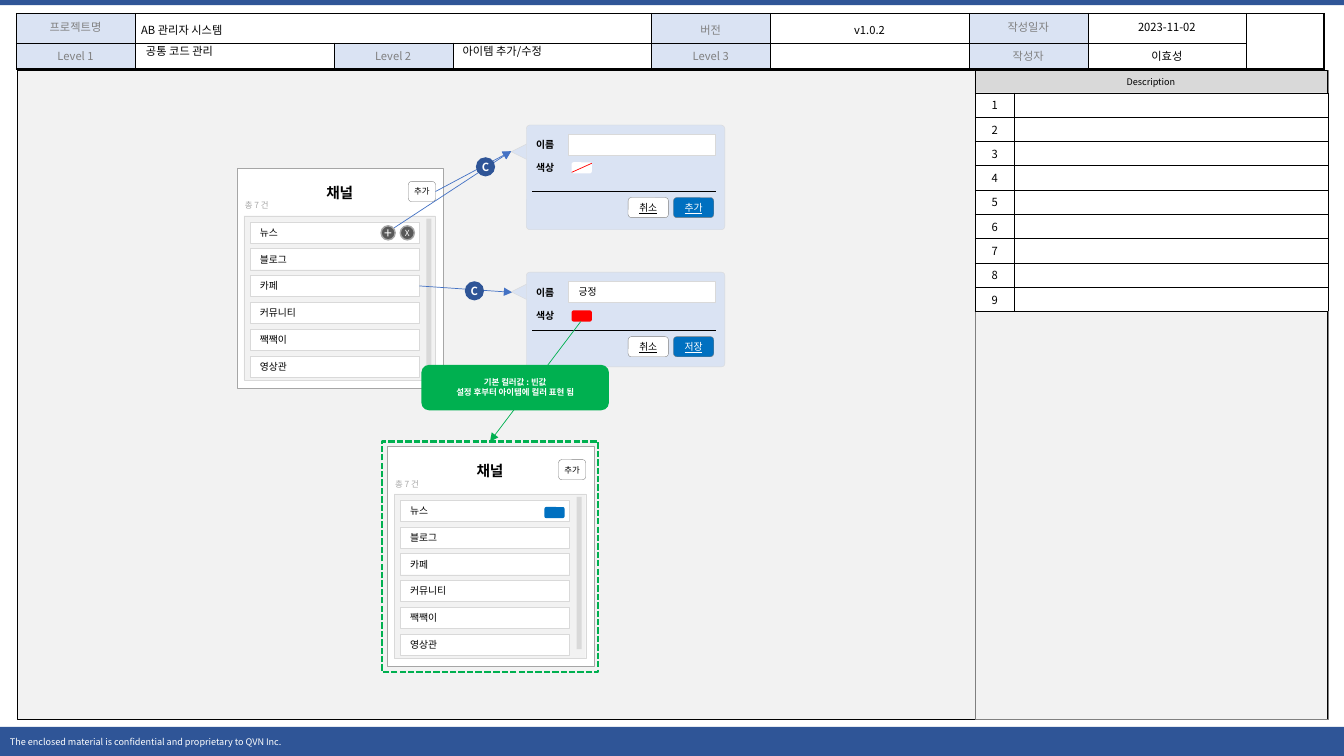
from lxml import etree
from pptx import Presentation
from pptx.dml.color import RGBColor
from pptx.enum.dml import MSO_LINE
from pptx.enum.shapes import MSO_CONNECTOR, MSO_SHAPE
from pptx.enum.text import MSO_ANCHOR, PP_ALIGN
from pptx.oxml.ns import qn
from pptx.util import Inches, Pt

RECT, ROUND = MSO_SHAPE.RECTANGLE, MSO_SHAPE.ROUNDED_RECTANGLE
OVAL, TRIANGLE = MSO_SHAPE.OVAL, MSO_SHAPE.ISOSCELES_TRIANGLE
LEFT, CENTER = PP_ALIGN.LEFT, PP_ALIGN.CENTER
TOP, MIDDLE = MSO_ANCHOR.TOP, MSO_ANCHOR.MIDDLE
FONT = "Noto Sans CJK KR"
C = dict(navy="2F5597", pale="DAE3F3", arrow="4472C4", blue="0070C0", green="00B050",
         red="FF0000", black="000000", white="FFFFFF", canvas="F2F2F2", light="D9D9D9",
         mid="A6A6A6", gray="808080", dark="595959")
ITEMS = ["뉴스", "블로그", "카페", "커뮤니티", "짹짹이", "영상관"]


def rgb(name):
    return RGBColor.from_string(C[name])


def write(tf, text, size=7, color="black", bold=False, underline=False, align=LEFT, spacing=None):
    for i, line in enumerate(text.split("\n")):
        p = tf.add_paragraph() if i else tf.paragraphs[0]
        p.alignment = align
        if spacing:
            p.line_spacing = spacing
        if not line:
            p._p.get_or_add_endParaRPr().set("sz", str(size * 100))
            continue
        r = p.add_run()
        r.text = line
        f = r.font
        f.name, f.size, f.bold, f.color.rgb = FONT, Pt(size), bold, rgb(color)
        if underline:
            f.underline = True
        etree.SubElement(r._r.get_or_add_rPr(), qn("a:ea"), typeface=FONT)


def set_frame(tf, inset, anchor, wrap=True):
    tf.word_wrap, tf.vertical_anchor = wrap, anchor
    tf.margin_left = tf.margin_right = Inches(inset[0])
    tf.margin_top = tf.margin_bottom = Inches(inset[1])


def shape(shapes, kind, x, y, w, h, fill=None, line=None, width=0.25, text="",
          inset=(0.1, 0.05), wrap=True, **fmt):
    sp = shapes.add_shape(kind, Inches(x), Inches(y), Inches(w), Inches(h))
    sp.shadow.inherit = False
    if fill:
        sp.fill.solid()
        sp.fill.fore_color.rgb = rgb(fill)
    else:
        sp.fill.background()
    if line:
        sp.line.color.rgb, sp.line.width = rgb(line), Pt(width)
    else:
        sp.line.fill.background()
    if text:
        set_frame(sp.text_frame, inset, MIDDLE, wrap)
        write(sp.text_frame, text, **fmt)
    return sp


def label(shapes, text, x, y, w, h, anchor=TOP, wrap=True, **fmt):
    tb = shapes.add_textbox(Inches(x), Inches(y), Inches(w), Inches(h))
    set_frame(tb.text_frame, (0.1, 0.05), anchor, wrap)
    write(tb.text_frame, text, **fmt)


def connect(shapes, x1, y1, x2, y2, color, arrow=False):
    cx = shapes.add_connector(MSO_CONNECTOR.STRAIGHT, *map(Inches, (x1, y1, x2, y2)))
    cx.line.color.rgb, cx.line.width = rgb(color), Pt(0.5)
    if arrow:
        etree.SubElement(cx.line._get_or_add_ln(), qn("a:tailEnd"), type="triangle")
    etree.SubElement(cx._element.spPr, qn("a:effectLst"))
    return cx


def button(shapes, text, x, y, w, fill="white", **fmt):
    return shape(shapes, ROUND, x, y, w, 0.2, fill, "gray", text=text,
                 inset=(0.04, 0.04), align=CENTER, **fmt)


def swatch(shapes, x, y, color):
    shape(shapes, ROUND, x, y, 0.2, 0.11, color)


def add_grid(s, x, y, widths, heights):
    tbl = s.shapes.add_table(len(heights), len(widths), Inches(x), Inches(y),
                             Inches(sum(widths)), Inches(sum(heights))).table
    tbl.first_row = tbl.horz_banding = False
    for col, w in zip(tbl.columns, widths):
        col.width = Inches(w)
    for row, h in zip(tbl.rows, heights):
        row.height = Inches(h)
    return tbl


def fill_cell(cell, text, fill, inset, thick="", anchor=TOP, **fmt):
    cell.margin_left = cell.margin_right = Inches(inset[0])
    cell.margin_top = cell.margin_bottom = Inches(inset[1])
    cell.vertical_anchor = anchor
    tc_pr = cell._tc.get_or_add_tcPr()
    for side in "LRTB":
        width = Pt(1.5 if side in thick else 0.25)
        ln = etree.SubElement(tc_pr, qn(f"a:ln{side}"), w=str(width))
        solid = etree.SubElement(ln, qn("a:solidFill"))
        etree.SubElement(solid, qn("a:srgbClr"), val=C["black"])
    cell.fill.solid()
    cell.fill.fore_color.rgb = rgb(fill)
    write(cell.text_frame, text, size=8, **fmt)


def header(s, x, y):
    rows = [["프로젝트명", "AB 관리자 시스템", "", "", "버전", "v1.0.2", "작성일자", "2023-11-02", ""],
            ["Level 1", "", "Level 2", "", "Level 3", "", "작성자", "이효성", ""]]
    tbl = add_grid(s, x, y, [1.18, 1.97] * 3 + [1.18, 1.57, 0.77], [0.26, 0.23])
    tbl.cell(0, 1).merge(tbl.cell(0, 3))
    tbl.cell(0, 8).merge(tbl.cell(1, 8))
    for i, texts in enumerate(rows):
        for j, text in enumerate(texts):
            is_label = j in (0, 2, 4, 6) and text != ""
            fill_cell(tbl.cell(i, j), text, "pale" if is_label else "white", (0.06, 0.05),
                      thick=("B" if i or j == 8 else "") + ("R" if j == 8 else ""),
                      color="gray" if is_label else "black",
                      align=LEFT if (i, j) == (0, 1) else CENTER,
                      spacing=1.2 if i == 0 and j in (1, 4, 5) else None)
    for text, dx in (("공통 코드 관리", 1.19), ("아이템 추가/수정", 4.33)):
        label(s.shapes, text, x + dx, y + 0.26, 1.97, 0.24, MIDDLE, size=8, spacing=0.9)


def description(s, x, y, w, h):
    shape(s.shapes, RECT, x, y, w, h, line="gray")
    shape(s.shapes, RECT, x, y, w - 0.01, 0.22, "light", "black", text="Description",
          inset=(0.07, 0.03), size=6.5, align=CENTER)
    tbl = add_grid(s, x, y + 0.22, [0.39, 3.11], [2.17 / 9] * 9)
    for i in range(9):
        for j, text in enumerate((str(i + 1), "")):
            fill_cell(tbl.cell(i, j), text, "white", (0.04, 0.04), anchor=MIDDLE, align=CENTER)


def channel_panel(s, x, y, framed=False):
    """Return the panel's shapes, frame, add button and list rows."""
    g = s.shapes.add_group_shape().shapes
    frame = None
    if framed:
        frame = shape(g, RECT, x - 0.05, y - 0.05, 2.14, 2.29, line="green", width=1.5)
        frame.line.dash_style = MSO_LINE.SQUARE_DOT
    shape(g, RECT, x, y, 2.05, 2.18, "white", "mid")
    label(g, "채널", x + 0.35, y + 0.1, 1.34, 0.28, size=10.5, bold=True, align=CENTER)
    shape(g, RECT, x + 0.07, y + 0.47, 1.9, 1.63, "canvas", "light")
    shape(g, RECT, x + 1.88, y + 0.5, 0.05, 1.51, "light")
    rows = [shape(g, RECT, x + 0.13, y + 0.53 + i * 0.266, 1.68, 0.21, "white", "light", text=item)
            for i, item in enumerate(ITEMS)]
    label(g, "총 7 건", x - 0.02, y + 0.27, 0.5, 0.2, size=6, color="mid")
    add = button(g, "추가", x + 1.7, y + 0.13, 0.27, size=6)
    return g, frame, add, rows


def popup(s, x, y, h, pointer, color_row, rule, action, color, name=""):
    g = s.shapes.add_group_shape().shapes
    shape(g, TRIANGLE, x - 0.15, y + pointer, 0.19, 0.19, "pale", "light").rotation = 270
    shape(g, ROUND, x, y, 1.97, h, "pale", "light").adjustments[0] = 0.037
    connect(g, x + 0.06, y + rule, x + 1.88, y + rule, "black")
    button(g, action, x + 1.46, y + rule + 0.06, 0.4, "blue", color="white", underline=True)
    button(g, "취소", x + 1.01, y + rule + 0.06, 0.4, underline=True)
    shape(g, RECT, x + 0.42, y + 0.09, 1.45, 0.21, "white", "light", text=name)
    for text, dy in (("이름", 0.09), ("색상", color_row)):
        label(g, text, x, y + dy, 0.4, 0.22, wrap=False, bold=True)
    swatch(g, x + 0.45, y + color_row + 0.06, color)
    return g


def marker(s, x, y):
    shape(s.shapes, OVAL, x, y, 0.19, 0.19, "navy", text="C", inset=(0, 0), size=8,
          color="white", bold=True, align=CENTER)


def build():
    prs = Presentation()
    prs.slide_width, prs.slide_height = Inches(13.33), Inches(7.5)
    s = prs.slides.add_slide(prs.slide_layouts[6])

    # Page frame
    shape(s.shapes, RECT, 0, 0, 13.33, 0.05, "navy")
    shape(s.shapes, RECT, 0, 7.21, 13.33, 0.29, "navy", size=6.5, color="white",
          text="The enclosed material is confidential and proprietary to QVN Inc.")
    header(s, 0.16, 0.13)
    shape(s.shapes, RECT, 0.17, 0.7, 12.99, 6.44, "canvas", "black")
    description(s, 9.67, 0.7, 3.5, 6.44)

    # Channel list with row actions
    g, _, add, rows = channel_panel(s, 2.35, 1.67)
    for text, x, size in (("X", 3.97, 6), ("+", 3.78, 10)):
        shape(g, OVAL, x, 2.24, 0.14, 0.14, "dark", "mid", 1, text=text, inset=(0, 0),
              wrap=False, size=size, color="white", align=CENTER)

    # Add popup
    connect(s.shapes, 4.32, 1.9, 5.07, 1.5, "arrow", True).begin_connect(add, 3)
    g = popup(s, 5.22, 1.24, 1.04, 0.17, 0.31, 0.66, "추가", "white")
    connect(g, 5.87, 1.62, 5.67, 1.71, "red")
    connect(s.shapes, 3.91, 2.26, 5.07, 1.5, "arrow", True)
    marker(s, 4.72, 1.56)

    # Edit popup
    connect(s.shapes, 4.15, 2.83, 5.08, 2.9, "arrow", True).begin_connect(rows[2], 3)
    marker(s, 4.61, 2.79)
    popup(s, 5.22, 2.7, 0.94, 0.1, 0.32, 0.58, "저장", "red", "긍정")

    # Channel list after a colour is set
    g, frame, _, _ = channel_panel(s, 3.84, 4.43, framed=True)
    swatch(g, 5.4, 5.03, "blue")
    connect(s.shapes, 5.76, 3.19, 4.86, 4.38, "green", True).end_connect(frame, 0)
    shape(s.shapes, ROUND, 4.18, 3.62, 1.86, 0.45, "green", inset=(0, 0), size=6,
          text="기본 컬러값 : 빈값\n설정 후부터 아이템에 컬러 표현 됨",
          color="white", bold=True, align=CENTER)
    prs.save("out.pptx")


if __name__ == "__main__":
    build()
